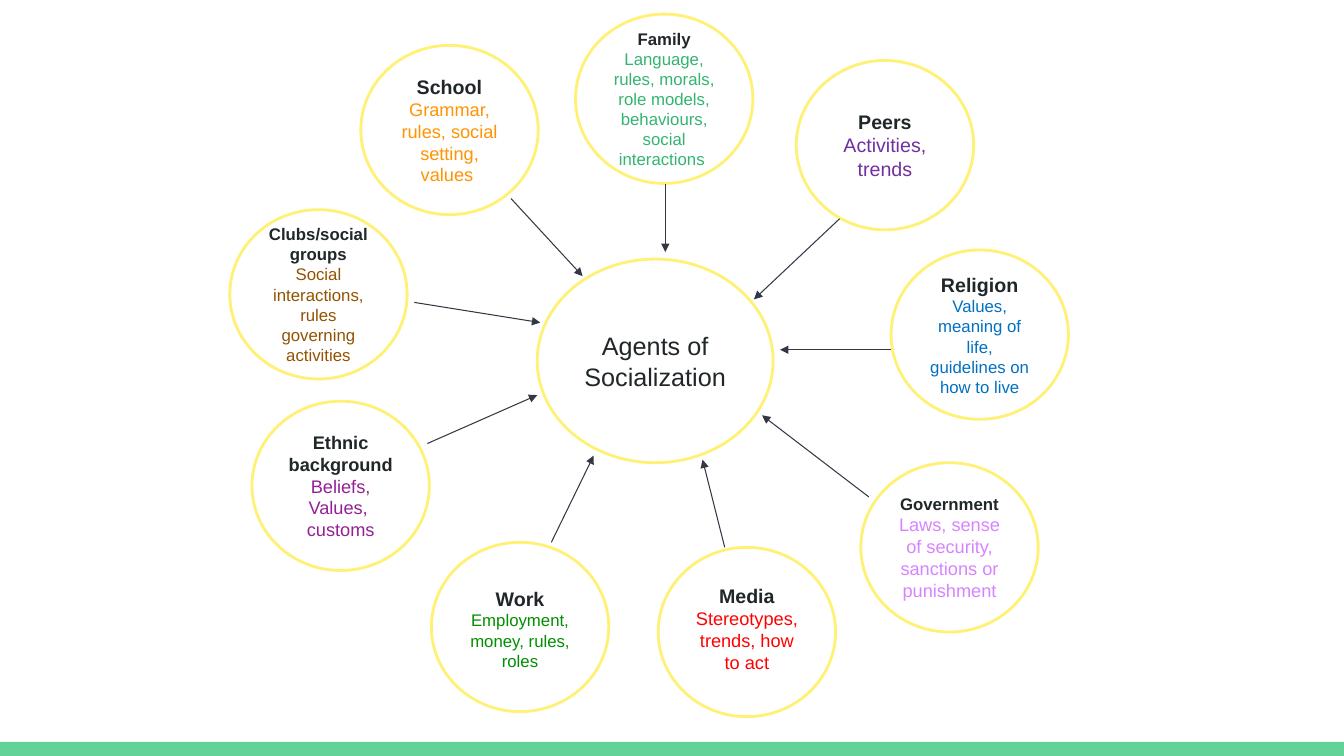
from collections import namedtuple
from dataclasses import dataclass

from lxml.etree import SubElement
from pptx import Presentation
from pptx.dml.color import RGBColor
from pptx.enum.shapes import MSO_CONNECTOR, MSO_SHAPE
from pptx.enum.text import MSO_ANCHOR, PP_ALIGN
from pptx.oxml.ns import qn
from pptx.util import Inches, Pt


@dataclass(frozen=True)
class Theme:
    font: str = "Arial"
    ink: str = "202729"
    paper: str = "FFFFFF"
    ring: str = "FFF176"
    arrow: str = "333643"
    footer: str = "63D297"
    hub_size: int = 18
    large: int = 14
    medium: int = 13
    small: int = 12
    ring_width: float = 2
    arrow_width: float = 0.75


THEME = Theme()
COLUMNS, ROWS = 80, 45
AGENT_SIZE = (10.56, 10.08)
Agent = namedtuple("Agent", "title title_size details size color corner start end drop",
                   defaults=(0,))


def write(frame, text, *, size, color, bold=False, first=False):
    paragraph = frame.paragraphs[0] if first else frame.add_paragraph()
    paragraph.alignment = PP_ALIGN.CENTER
    run = paragraph.add_run()
    run.text = text
    run.font.name = THEME.font
    run.font.size = Pt(size)
    run.font.bold = bold
    run.font.color.rgb = RGBColor.from_string(color)


class Diagram:
    """Draws on one slide, with lengths in grid columns and rows."""

    def __init__(self, deck, theme):
        self.theme = theme
        self.slide = deck.slides.add_slide(deck.slide_layouts[6])
        self.column = deck.slide_width / COLUMNS
        self.row = deck.slide_height / ROWS

    def place(self, x, y):
        return round(x * self.column), round(y * self.row)

    def shape(self, kind, corner, size, fill, line=None):
        shape = self.slide.shapes.add_shape(kind, *self.place(*corner), *self.place(*size))
        shape.shadow.inherit = False
        shape.fill.solid()
        shape.fill.fore_color.rgb = RGBColor.from_string(fill)
        if line:
            shape.line.color.rgb = RGBColor.from_string(line)
            shape.line.width = Pt(self.theme.ring_width)
        else:
            shape.line.fill.background()
        return shape

    def circle(self, corner, size, drop=0):
        """Return the text frame of a ringed circle; drop lowers its text in points."""
        ring = self.shape(MSO_SHAPE.OVAL, corner, size, self.theme.paper, self.theme.ring)
        frame = ring.text_frame
        frame.word_wrap = True
        frame.vertical_anchor = MSO_ANCHOR.MIDDLE
        frame.margin_top = Pt(3.6 + max(2 * drop, 0))
        frame.margin_bottom = Pt(3.6 + max(-2 * drop, 0))
        return frame

    def hub(self, text, corner, size):
        write(self.circle(corner, size), text, size=self.theme.hub_size,
              color=self.theme.ink, first=True)

    def agent(self, agent):
        frame = self.circle(agent.corner, AGENT_SIZE, agent.drop)
        write(frame, agent.title, size=agent.title_size, color=self.theme.ink,
              bold=True, first=True)
        for detail in agent.details:
            write(frame, detail, size=agent.size, color=agent.color)

    def arrow(self, start, end):
        arrow = self.slide.shapes.add_connector(
            MSO_CONNECTOR.STRAIGHT, *self.place(*start), *self.place(*end))
        arrow.line.color.rgb = RGBColor.from_string(self.theme.arrow)
        arrow.line.width = Pt(self.theme.arrow_width)
        properties = arrow.element.spPr
        SubElement(properties.find(qn("a:ln")), qn("a:tailEnd"), type="triangle")
        SubElement(properties, qn("a:effectLst"))


# Agents: title, details, their format, circle corner, arrow start and end
AGENTS = [
    Agent("Clubs/social groups", THEME.small,
          ["Social interactions, rules governing activities"], THEME.small, "945200",
          (13.68, 12.48), (24.66, 18), (32.16, 19.2)),
    Agent("School", THEME.large,
          ["Grammar, rules, social setting, values "], THEME.medium, "FF9300",
          (21.48, 2.7), (30.42, 11.82), (34.68, 16.44)),
    Agent("Ethnic background", THEME.medium,
          ["Beliefs,", "Values, ", "customs"], THEME.medium, "942093",
          (15, 23.88), (25.44, 26.4), (31.98, 23.52)),
    Agent("Media", THEME.large,
          ["Stereotypes, trends, how to act"], THEME.medium, "FF0000",
          (39.18, 32.58), (43.14, 32.58), (41.82, 27.36), -2.3),
    Agent("Government", THEME.small,
          ["Laws, sense of security, sanctions or punishment"], THEME.medium, "D883FF",
          (51.24, 27.54), (51.72, 29.58), (45.36, 24.72)),
    Agent("Religion", THEME.large,
          ["Values, meaning of life, guidelines on how to live"], THEME.small, "0070C0",
          (53.04, 14.88), (53.04, 20.82), (46.44, 20.82)),
    Agent("Peers", THEME.large,
          ["Activities, trends"], THEME.large, "7030A0",
          (47.4, 3.6), (49.98, 13.02), (44.88, 17.82)),
    Agent("Work", THEME.large,
          ["Employment, money, rules, roles"], THEME.small, "008F00",
          (25.68, 32.28), (32.82, 32.28), (35.34, 27.12), 1.15),
    Agent("Family", THEME.small,
          ["Language, rules, morals, role models, behaviours, social interactions "],
          THEME.small, "34B470",
          (34.26, 0.84), (39.6, 10.98), (39.6, 15)),
]


def main():
    deck = Presentation()
    deck.slide_width, deck.slide_height = Inches(40 / 3), Inches(7.5)
    diagram = Diagram(deck, THEME)

    # Footer band
    diagram.shape(MSO_SHAPE.RECTANGLE, (0, 44.16), (COLUMNS, 0.84), THEME.footer)

    # Agents around the hub
    for agent in AGENTS:
        diagram.agent(agent)
    diagram.hub("Agents of Socialization", (31.98, 15.42), (14.04, 12.12))

    # Arrows towards the hub
    for agent in AGENTS:
        diagram.arrow(agent.start, agent.end)

    deck.save("out.pptx")


if __name__ == "__main__":
    main()
